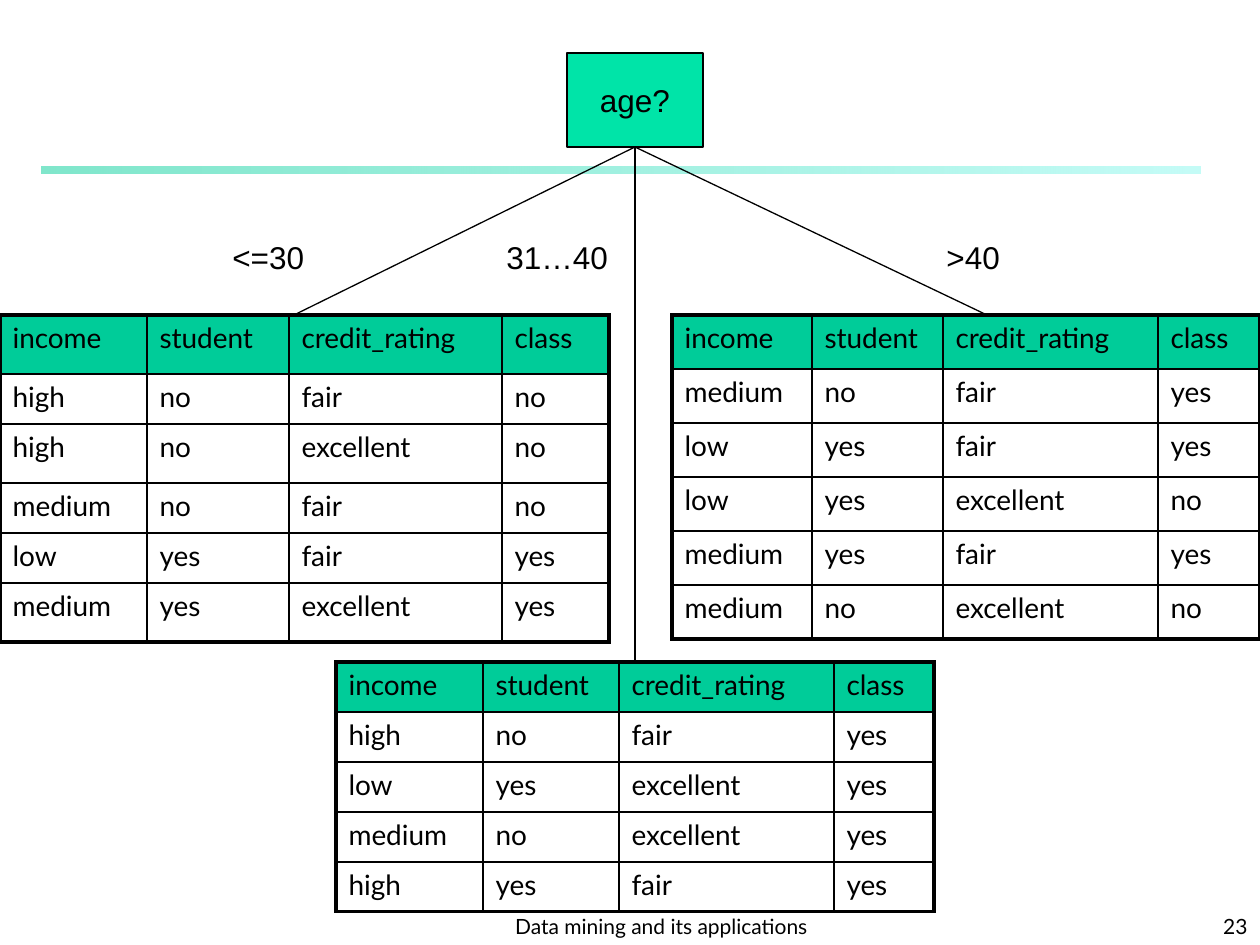
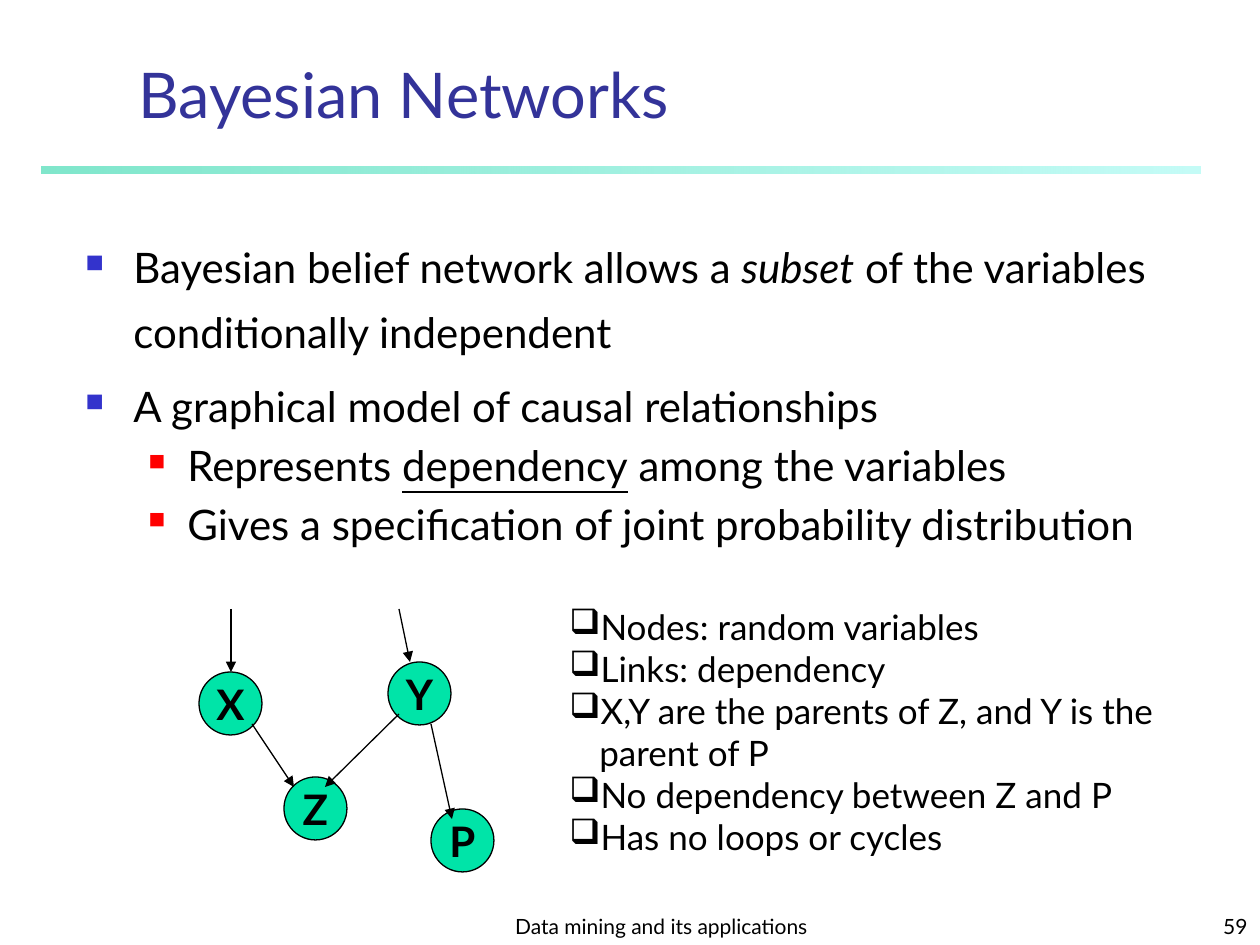
from dataclasses import dataclass

from lxml.etree import SubElement
from pptx import Presentation
from pptx.dml.color import RGBColor as RGB
from pptx.enum.shapes import MSO_CONNECTOR as LINK, MSO_SHAPE as SHAPE
from pptx.enum.text import MSO_ANCHOR as ANCHOR, PP_ALIGN as ALIGN
from pptx.oxml.ns import qn
from pptx.util import Emu, Pt


@dataclass(frozen=True)
class Theme:
    black: str = "000000"
    title: str = "333399"
    node: str = "00E4A8"
    header: str = "00CC99"
    band: tuple = (("00CE98", 50), ("8FF9EF", 52))
    bullet: str = "3333CC"
    sub_bullet: str = "FF0000"
    body_font: str = "Lato"
    tree_font: str = "Arial"
    title_size: int = 36
    body_size: int = 24
    note_size: int = 20
    tree_size: int = 18
    cell_size: int = 16
    footer_size: int = 12
    thin: float = 0.75
    grid: float = 1
    frame: float = 2.25


THEME = Theme()
PX_PER_INCH = 126
HEADINGS = ("income", "student", "credit_rating", "class")
NODE_SIZE = 63


def px(*lengths):
    """Turn whole pixels into EMU."""
    emu = [Emu(round(n * 914400 / PX_PER_INCH)) for n in lengths]
    return emu if len(emu) > 1 else emu[0]


# Text
def style(paragraph, size, font=THEME.body_font, color=THEME.black, bold=False):
    paragraph.font.size = Pt(size)
    paragraph.font.name = font
    paragraph.font.bold = bold
    paragraph.font.color.rgb = RGB.from_string(color)


def set_bullet(paragraph, mark, left, hang, color=None, percent=None):
    props = paragraph._p.get_or_add_pPr()
    props.set("marL", str(px(left)))
    props.set("indent", str(px(-hang)))
    if color:
        SubElement(SubElement(props, qn("a:buClr")), qn("a:srgbClr"), val=color)
    if percent:
        SubElement(props, qn("a:buSzPct"), val=str(percent * 1000))
    SubElement(props, qn("a:buChar"), char=mark)


def add_frame(slide, box, anchor=ANCHOR.TOP):
    frame = slide.shapes.add_textbox(*px(*box)).text_frame
    frame.word_wrap = True
    frame.vertical_anchor = anchor
    return frame


def add_label(slide, box, text, size, anchor=ANCHOR.TOP, align=ALIGN.LEFT, **font):
    line = add_frame(slide, box, anchor).paragraphs[0]
    line.text = text
    line.alignment = align
    style(line, size, **font)


def next_paragraph(frame, index):
    return frame.add_paragraph() if index else frame.paragraphs[0]


# Shapes and lines
def add_node(slide, kind, box, text, size, **font):
    node = slide.shapes.add_shape(kind, *px(*box))
    node.shadow.inherit = False
    node.fill.solid()
    node.fill.fore_color.rgb = RGB.from_string(THEME.node)
    node.line.color.rgb = RGB.from_string(THEME.black)
    node.line.width = Pt(THEME.thin)
    frame = node.text_frame
    frame.word_wrap = False
    frame.vertical_anchor = ANCHOR.MIDDLE
    label = frame.paragraphs[0]
    label.text = text
    label.alignment = ALIGN.CENTER
    style(label, size, **font)
    return node


def add_link(slide, start, end, arrow=False):
    link = slide.shapes.add_connector(LINK.STRAIGHT, *px(*start, *end))
    link.line.color.rgb = RGB.from_string(THEME.black)
    link.line.width = Pt(THEME.thin)
    props = link._element.spPr
    if arrow:
        SubElement(props.find(qn("a:ln")), qn("a:tailEnd"), type="triangle")
    SubElement(props, qn("a:effectLst"))
    return link


# Tables
def set_border(cell, side, width):
    line = SubElement(cell._tc.get_or_add_tcPr(), qn(f"a:ln{side}"), w=str(Pt(width)))
    fill = SubElement(line, qn("a:solidFill"))
    SubElement(fill, qn("a:srgbClr"), val=THEME.black)


def add_samples(slide, left, top, widths, heights, samples):
    """Draw one partition of the training samples under its headings."""
    rows = [HEADINGS, *(sample.split() for sample in samples)]
    table = slide.shapes.add_table(
        len(rows), len(widths), *px(left, top, sum(widths), sum(heights))).table
    table.first_row = table.horz_banding = False
    for column, width in zip(table.columns, widths):
        column.width = px(width)
    for row, height in zip(table.rows, heights):
        row.height = px(height)
    last_row, last_column = len(rows) - 1, len(widths) - 1
    for r, values in enumerate(rows):
        for c, value in enumerate(values):
            cell = table.cell(r, c)
            cell.text = value
            style(cell.text_frame.paragraphs[0], THEME.cell_size)
            outer = {"L": c == 0, "R": c == last_column, "T": r == 0, "B": r == last_row}
            for side, is_outer in outer.items():
                set_border(cell, side, THEME.frame if is_outer else THEME.grid)
            if r == 0:
                cell.fill.solid()
                cell.fill.fore_color.rgb = RGB.from_string(THEME.header)
            else:
                cell.fill.background()


# Parts shared by the slides
def add_base(deck, number):
    slide = deck.slides.add_slide(deck.slide_layouts[6])
    band = slide.shapes.add_shape(SHAPE.RECTANGLE, *px(42, 167, 1159, 7))
    band.shadow.inherit = False
    band.line.fill.background()
    band.fill.gradient()
    band.fill.gradient_angle = 0
    colors = band._element.spPr.iter(qn("a:gs"))
    for stop, element, (color, opacity) in zip(band.fill.gradient_stops, colors, THEME.band):
        stop.color.rgb = RGB.from_string(color)
        SubElement(element[0], qn("a:alpha"), val=str(opacity * 1000))
    add_label(slide, (462, 892, 399, 53), "Data mining and its applications",
              THEME.footer_size, ANCHOR.BOTTOM, ALIGN.CENTER)
    add_label(slide, (998, 892, 262, 53), number,
              THEME.footer_size, ANCHOR.BOTTOM, ALIGN.RIGHT)
    return slide


def build_age_split(deck):
    slide = add_base(deck, "23")

    # Samples in each branch
    add_samples(slide, 0, 315, (147, 142, 213, 107), (59, 50, 59, 50, 50, 59), (
        "high no fair no",
        "high no excellent no",
        "medium no fair no",
        "low yes fair yes",
        "medium yes excellent yes"))
    add_samples(slide, 672, 315, (140, 131, 215, 102), (54,) * 6, (
        "medium no fair yes",
        "low yes fair yes",
        "low yes excellent no",
        "medium yes fair yes",
        "medium no excellent no"))
    add_samples(slide, 336, 662, (147, 136, 215, 100), (50,) * 5, (
        "high no fair yes",
        "low yes excellent yes",
        "medium no excellent yes",
        "high yes fair yes"))

    # Root and its branches
    tree = {"size": THEME.tree_size, "font": THEME.tree_font}
    root = add_node(slide, SHAPE.RECTANGLE, (567, 53, 136, 94), "age?", **tree)
    for branch_end in ((635, 662), (294, 315), (987, 315)):
        add_link(slide, (635, 147), branch_end).begin_connect(root, 2)
    for left, width, test in ((220, 179, "<=30"), (494, 136, "31…40"), (934, 147, ">40")):
        add_label(slide, (left, 232, width, 50), test, **tree)


def build_bayesian_networks(deck):
    slide = add_base(deck, "59")
    add_label(slide, (126, 53, 1074, 84), "Bayesian Networks", THEME.title_size,
              ANCHOR.BOTTOM, color=THEME.title)

    # Main points: level, then text runs with an optional emphasis
    points = (
        (0, (("Bayesian belief network allows a ", None), ("subset", "italic"),
             (" of the variables conditionally independent", None))),
        (0, (("A graphical model of causal relationships", None),)),
        (1, (("Represents ", None), ("dependency", "underline"),
             (" among the variables", None))),
        (1, (("Gives a specification of joint probability distribution", None),)),
    )
    bullets = (("■", 48, 48, THEME.bullet, 60), ("■", 102, 39, THEME.sub_bullet, 55))
    frame = add_frame(slide, (73, 220, 1134, 672))
    for index, (level, runs) in enumerate(points):
        point = next_paragraph(frame, index)
        point.level = level
        set_bullet(point, *bullets[level])
        point.line_spacing = 1.0 if level else 1.3
        point.space_before = Pt(4.8)
        style(point, THEME.body_size)
        for text, emphasis in runs:
            run = point.add_run()
            run.text = text
            if emphasis:
                setattr(run.font, emphasis, True)

    # Example network
    for name, left, top in (("X", 199, 672), ("Y", 388, 662), ("Z", 284, 777), ("P", 431, 809)):
        add_node(slide, SHAPE.FLOWCHART_CONNECTOR, (left, top, NODE_SIZE, NODE_SIZE),
                 name, THEME.body_size, bold=True)
    for start, end in (
            ((252, 724), (294, 787)),  # X to Z
            ((399, 714), (325, 787)),  # Y to Z
            ((431, 724), (452, 819)),  # Y to P
            ((231, 609), (231, 672)),  # into X
            ((399, 609), (410, 662))):  # into Y
        add_link(slide, start, end, arrow=True)

    # Reading the network
    notes = (
        "Nodes: random variables",
        "Links: dependency",
        "X,Y are the parents of Z, and Y is the parent of P",
        "No dependency between Z and P",
        "Has no loops or cycles",
    )
    frame = add_frame(slide, (557, 599, 680, 265))
    for index, text in enumerate(notes):
        note = next_paragraph(frame, index)
        note.text = text
        set_bullet(note, "❑", 30, 30)
        style(note, THEME.note_size)


def main():
    deck = Presentation()
    deck.slide_width, deck.slide_height = px(1260, 945)
    build_age_split(deck)
    build_bayesian_networks(deck)
    deck.save("out.pptx")


if __name__ == "__main__":
    main()
